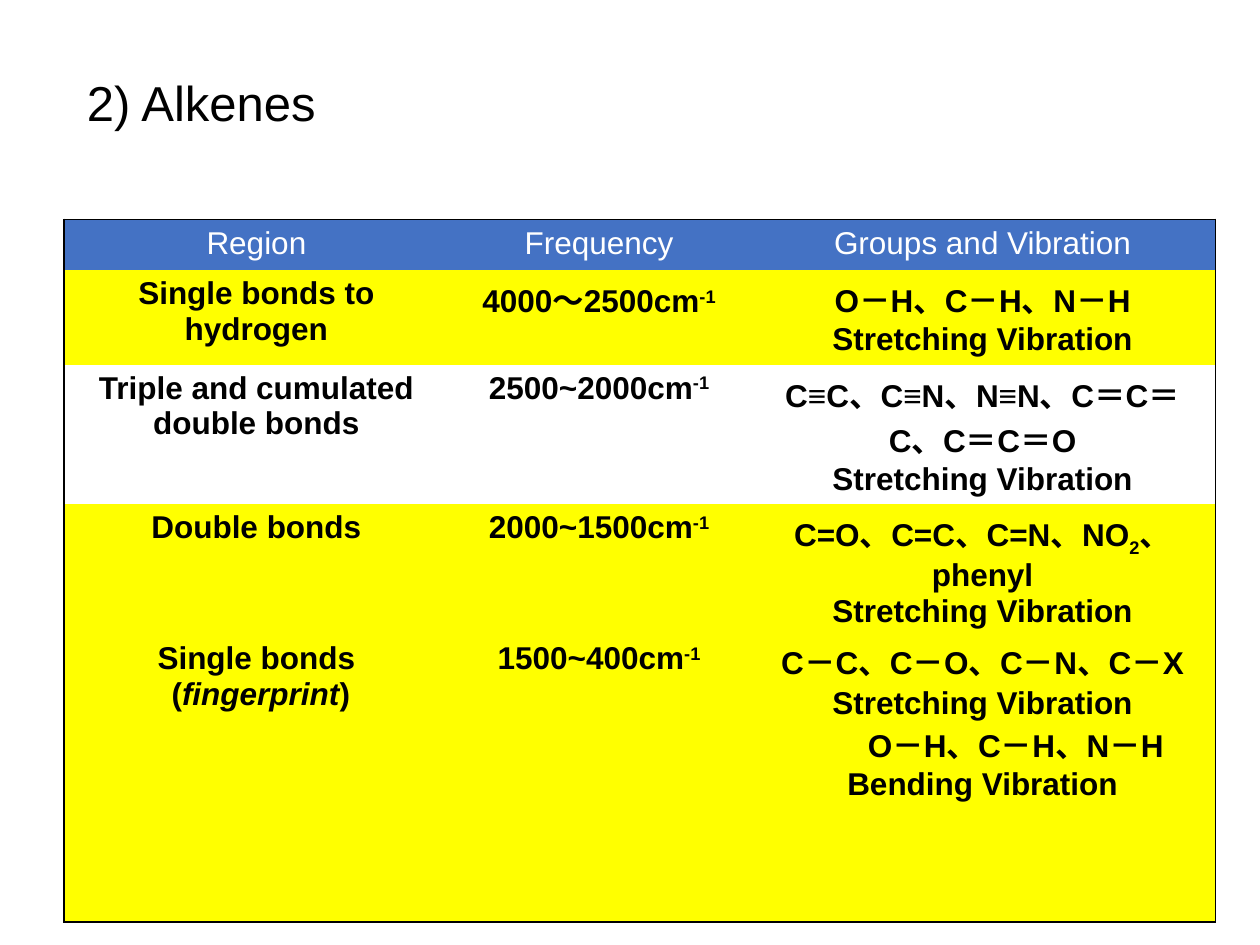
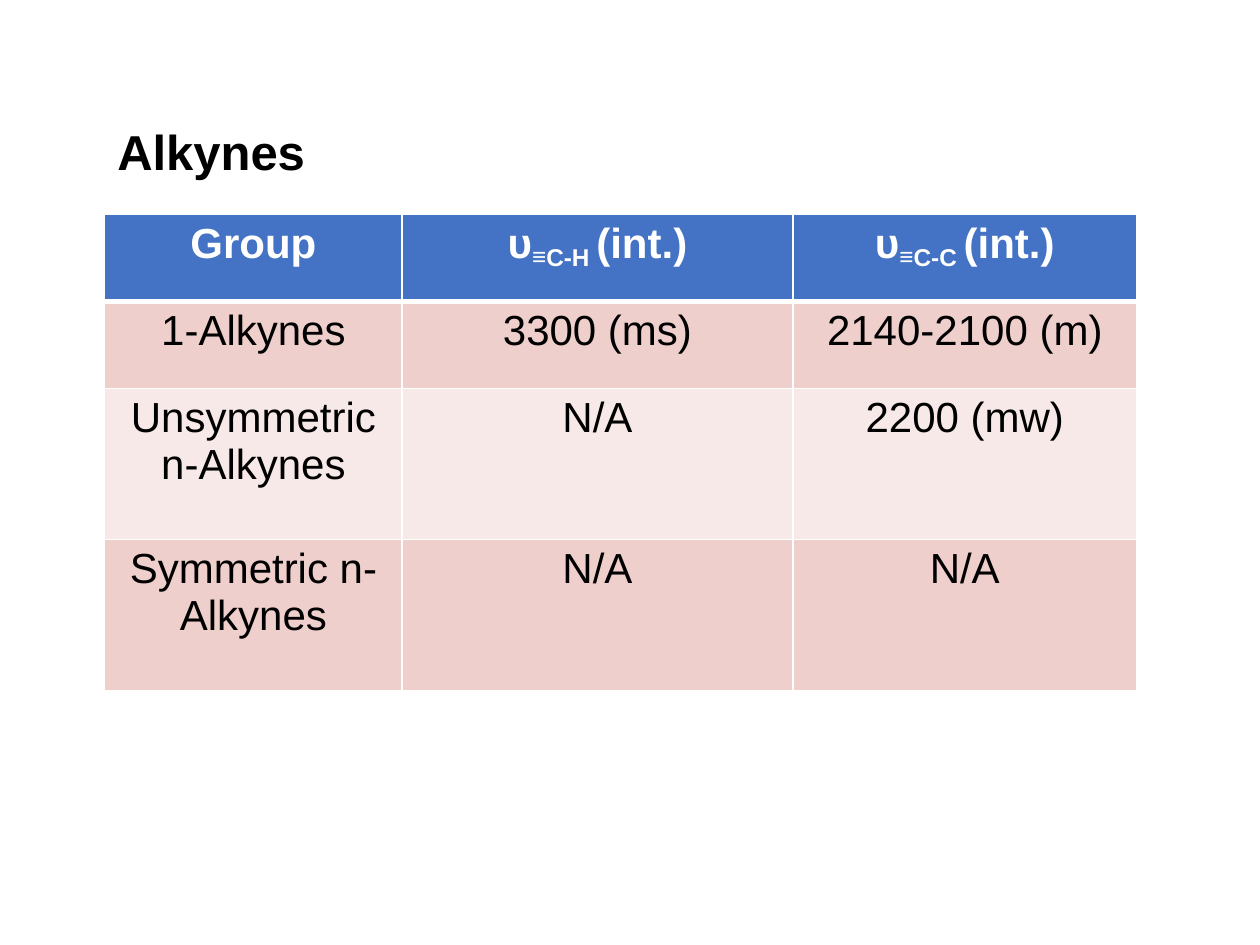
from lxml import etree
from pptx import Presentation
from pptx.dml.color import RGBColor
from pptx.enum import text as t
from pptx.oxml.ns import qn
from pptx.util import Pt

HUE = {"ink": "000000", "white": "FFFFFF", "head": "4472C4",
       "mark": "FFFF00", "rose": "EFCFCC", "pale": "F7E9E7"}
FACE = "Arial"
PLAIN = "{2D5ABB26-0587-4C30-8999-92F81FD0307C}"  # no style, no grid


def write(par, runs, size, hue, bold):
    """Add runs to par; a run is a string or (string, baseline percent or "i")."""
    for item in [runs] if isinstance(runs, str) else runs:
        words, mark = (item, None) if isinstance(item, str) else item
        run = par.add_run()
        run.text = words
        run.font.name = FACE
        run.font.size = Pt(size)
        run.font.bold = bold
        run.font.color.rgb = RGBColor.from_string(HUE[hue])
        if mark == "i":
            run.font.italic = True
        elif mark:
            run.font._element.set("baseline", str(mark * 1000))


def edge(cell, side, hue, width):
    """Draw one border of a cell; side is L, R, T or B."""
    line = etree.SubElement(cell._tc.get_or_add_tcPr(), qn("a:ln" + side), w=str(Pt(width)))
    fill = etree.SubElement(line, qn("a:solidFill"))
    etree.SubElement(fill, qn("a:srgbClr"), val=HUE[hue])


# Each cell is a list of paragraphs, each paragraph a string or a list of runs.
STRETCH = "Stretching Vibration"
UP = ("-1", 30)
bonds = [
    [["Region"], ["Frequency"], ["Groups and Vibration"]],
    [["Single bonds to hydrogen"], [["4000～2500cm", UP]],
     ["O－H、C－H、N－H", STRETCH]],
    [["Triple and cumulated double bonds"], [["2500~2000cm", UP]],
     ["C≡C、C≡N、N≡N、C＝C＝C、C＝C＝O", STRETCH]],
    [["Double bonds"], [["2000~1500cm", UP]],
     [["C=O、C=C、C=N、NO", ("2", -25), "、phenyl"], STRETCH]],
    [["Single bonds", ["(", ("fingerprint", "i"), ")"]], [["1500~400cm", UP]],
     ["C－C、C－O、C－N、C－X", STRETCH, "O－H、C－H、N－H", "Bending Vibration"]],
]
modes = [
    [["Group"]] + [[["υ", ("≡", -16), (f"C-{end} ", -18), "(int.)"]] for end in "HC"],
    [["1-Alkynes"], ["3300 (ms)"], ["2140-2100 (m)"]],
    [["Unsymmetric n-Alkynes"], ["N/A"], ["2200 (mw)"]],
    [["Symmetric n-Alkynes"], ["N/A"], ["N/A"]],
]
pages = [
    dict(title="2) Alkenes", bold=False, box=(42.5, 37.5, 612, 42), data=bonds,
         at=(36.7, 125.3), cols=(219.6, 172, 266.4), rows=(29, 54, 79.5, 75, 164),
         fills=("head", "mark", None, "mark", "mark"), size=18,
         top=False, body=True, grid=False),
    dict(title="Alkynes", bold=True, box=(59.8, 65.5, 123, 41), data=modes,
         at=(59.8, 122.6), cols=(170, 223.2, 196.6), rows=(49.7, 49.7, 86.4, 86.4),
         fills=("head", "rose", "pale", "rose"), size=24,
         top=True, body=False, grid=True),
]

deck = Presentation()
deck.slide_width, deck.slide_height = Pt(720), Pt(540)

for page in pages:
    slide = deck.slides.add_slide(deck.slide_layouts[5])
    title = slide.shapes.title
    title.left, title.top, title.width, title.height = map(Pt, page["box"])
    frame = title.text_frame
    frame.auto_size = t.MSO_AUTO_SIZE.NONE
    frame.vertical_anchor = t.MSO_ANCHOR.MIDDLE
    frame.paragraphs[0].alignment = t.PP_ALIGN.LEFT
    write(frame.paragraphs[0], page["title"], 28, "ink", page["bold"])

    cols, rows = page["cols"], page["rows"]
    size = sum(cols), sum(rows)
    table = slide.shapes.add_table(len(rows), len(cols), *map(Pt, page["at"] + size)).table
    table.first_row = table.horz_banding = False
    table._tbl.tblPr.find(qn("a:tableStyleId")).text = PLAIN
    for col, width in zip(table.columns, cols):
        col.width = Pt(width)
    for row, height in zip(table.rows, rows):
        row.height = Pt(height)

    for r, line in enumerate(page["data"]):
        for c, paras in enumerate(line):
            cell = table.cell(r, c)
            outer = {"L": c == 0, "R": c == len(cols) - 1,
                     "T": r == 0, "B": r == len(rows) - 1}
            for side, last in outer.items():
                if page["grid"]:
                    thick = (r, side) in ((0, "B"), (1, "T"))
                    edge(cell, side, "white", 3 if thick else 1)
                elif last:
                    edge(cell, side, "ink", 1)
            hue = page["fills"][r]
            if hue:
                cell.fill.solid()
                cell.fill.fore_color.rgb = RGBColor.from_string(HUE[hue])
            else:
                cell.fill.background()
            for i, runs in enumerate(paras):
                par = cell.text_frame.paragraphs[0] if i == 0 else cell.text_frame.add_paragraph()
                par.alignment = t.PP_ALIGN.CENTER
                write(par, runs, page["size"], "ink" if r else "white",
                      page["body"] if r else page["top"])

    if page["data"] is bonds:
        name, _, groups = (table.cell(4, c).text_frame.paragraphs for c in range(3))
        name[1]._p.get_or_add_pPr().set("marL", str(Pt(5)))
        groups[2]._p.get_or_add_pPr().set("indent", str(Pt(38)))
        groups[1].space_before = Pt(4)
        for par in groups[:2]:
            par.line_spacing = 0.9

deck.save("out.pptx")
